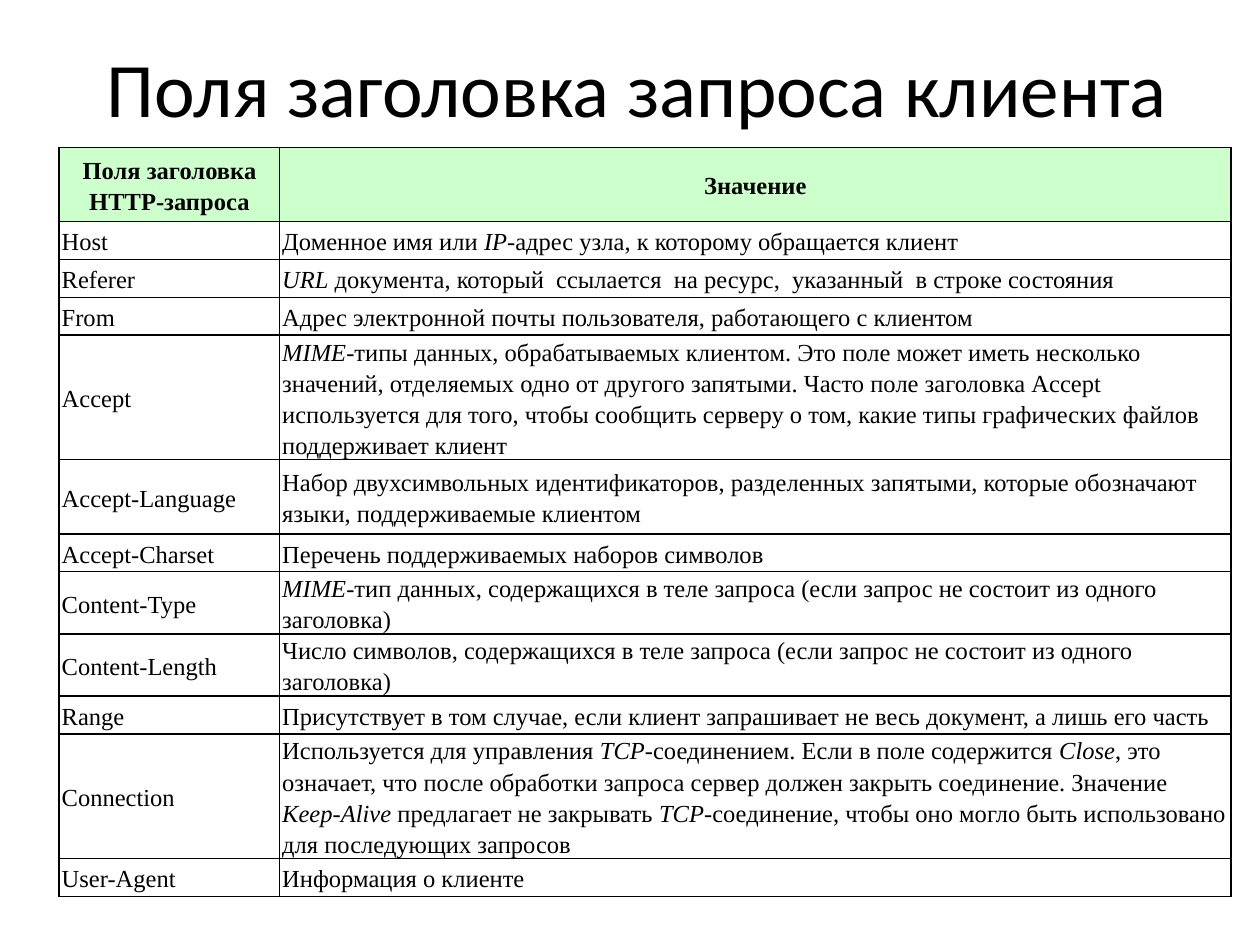
import lxml.etree
import pptx
import pptx.dml.color
import pptx.enum.text
import pptx.oxml.ns
import pptx.util

Inches = pptx.util.Inches
Pt = pptx.util.Pt
RGBColor = pptx.dml.color.RGBColor
ALIGN = pptx.enum.text.PP_ALIGN
MIDDLE = pptx.enum.text.MSO_ANCHOR.MIDDLE

BLACK = RGBColor(0x00, 0x00, 0x00)
HEADER_GREEN = RGBColor(0xCC, 0xFF, 0xCC)

TITLE = "Поля заголовка запроса клиента"
COLUMN_WIDTHS = (1.75, 7.55)

# Row height, field name, meaning; asterisks enclose italic words.
ROWS = [
    (0.59, "Поля заголовка HTTP-запроса", "Значение"),
    (0.3, "Host", "Доменное имя или *IP*-адрес узла, к которому обращается клиент"),
    (0.3, "Referer",
     "*URL* документа, который  ссылается  на ресурс,  указанный  в строке состояния"),
    (0.3, "From", "Адрес электронной почты пользователя, работающего с клиентом"),
    (0.88, "Accept",
     "*MIME*-типы данных, обрабатываемых клиентом. Это поле может иметь несколько "
     "значений, отделяемых одно от другого запятыми. Часто поле заголовка Accept "
     "используется для того, чтобы сообщить серверу о том, какие типы графических "
     "файлов поддерживает клиент"),
    (0.59, "Accept-Language",
     "Набор двухсимвольных идентификаторов, разделенных запятыми, которые обозначают "
     "языки, поддерживаемые клиентом"),
    (0.3, "Accept-Charset", "Перечень поддерживаемых наборов символов"),
    (0.46, "Content-Type",
     "*MIME*-тип данных, содержащихся в теле запроса "
     "(если запрос не состоит из одного заголовка)"),
    (0.46, "Content-Length",
     "Число символов, содержащихся в теле запроса "
     "(если запрос не состоит из одного заголовка)"),
    (0.3, "Range",
     "Присутствует в том случае, если клиент запрашивает не весь документ, "
     "а лишь его часть"),
    (0.88, "Connection",
     "Используется для управления *TCP*-соединением. Если в поле содержится *Close*, "
     "это означает, что после обработки запроса сервер должен закрыть соединение. "
     "Значение *Keep*-*Alive* предлагает не закрывать *TCP*-соединение, чтобы оно "
     "могло быть использовано для последующих запросов"),
    (0.3, "User-Agent", "Информация о клиенте"),
]


class SlideWriter:
    """Holds the text style and the current page."""

    title_font, title_size = "Calibri", 44
    table_font, table_size = "Times New Roman", 14

    def __init__(self, page):
        self.page = page

    def style_span(self, span, font, size, bold=False, italic=False):
        """Set the look of one run."""
        span.font.name = font
        span.font.size = Pt(size)
        span.font.bold = bold
        span.font.italic = italic
        span.font.color.rgb = BLACK

    def title(self, text, left, top, width, height):
        """Fill and place the title placeholder."""
        box = self.page.shapes.title
        box.left, box.top = Inches(left), Inches(top)
        box.width, box.height = Inches(width), Inches(height)
        box.text_frame.text = text
        box.text_frame.vertical_anchor = MIDDLE
        para = box.text_frame.paragraphs[0]
        para.alignment = ALIGN.CENTER
        self.style_span(para.runs[0], self.title_font, self.title_size)

    def borders(self, cell, width=1):
        """Draw a thin black line on all four sides of a cell."""
        properties = cell._tc.get_or_add_tcPr()
        qn = pptx.oxml.ns.qn
        for side in ("a:lnL", "a:lnR", "a:lnT", "a:lnB"):
            line = lxml.etree.SubElement(properties, qn(side), w=str(int(Pt(width))))
            fill = lxml.etree.SubElement(line, qn("a:solidFill"))
            lxml.etree.SubElement(fill, qn("a:srgbClr"), val=str(BLACK))

    def cell(self, cell, text, header):
        """Write one table cell, with italics between asterisks."""
        self.borders(cell)
        if header:
            cell.fill.solid()
            cell.fill.fore_color.rgb = HEADER_GREEN
        else:
            cell.fill.background()
        cell.margin_left = cell.margin_right = Inches(0.02)
        cell.margin_top = cell.margin_bottom = 0
        cell.vertical_anchor = MIDDLE
        para = cell.text_frame.paragraphs[0]
        para.alignment = ALIGN.CENTER if header else ALIGN.LEFT
        para.line_spacing = 1.15
        para.space_after = Pt(6)
        for index, part in enumerate(text.split("*")):
            if part:
                span = para.add_run()
                span.text = part
                self.style_span(span, self.table_font, self.table_size,
                                bold=header, italic=index % 2 == 1)

    def table(self, rows, widths, left, top):
        """Add the table; the first row is its header."""
        height = sum(row[0] for row in rows)
        table = self.page.shapes.add_table(
            len(rows), len(widths), Inches(left), Inches(top),
            Inches(sum(widths)), Inches(height)).table
        for column, width in zip(table.columns, widths):
            column.width = Inches(width)
        for row_index, (row_height, *texts) in enumerate(rows):
            table.rows[row_index].height = Inches(row_height)
            for column_index, text in enumerate(texts):
                self.cell(table.cell(row_index, column_index), text, row_index == 0)


def main():
    """Build and save the deck."""
    deck = pptx.Presentation()
    deck.slide_width, deck.slide_height = Inches(10), Inches(7.5)
    writer = SlideWriter(deck.slides.add_slide(deck.slide_layouts[5]))
    writer.title(TITLE, 0.31, 0.23, 9.5, 0.92)
    writer.table(ROWS, COLUMN_WIDTHS, 0.47, 1.17)
    deck.save("out.pptx")


main()
